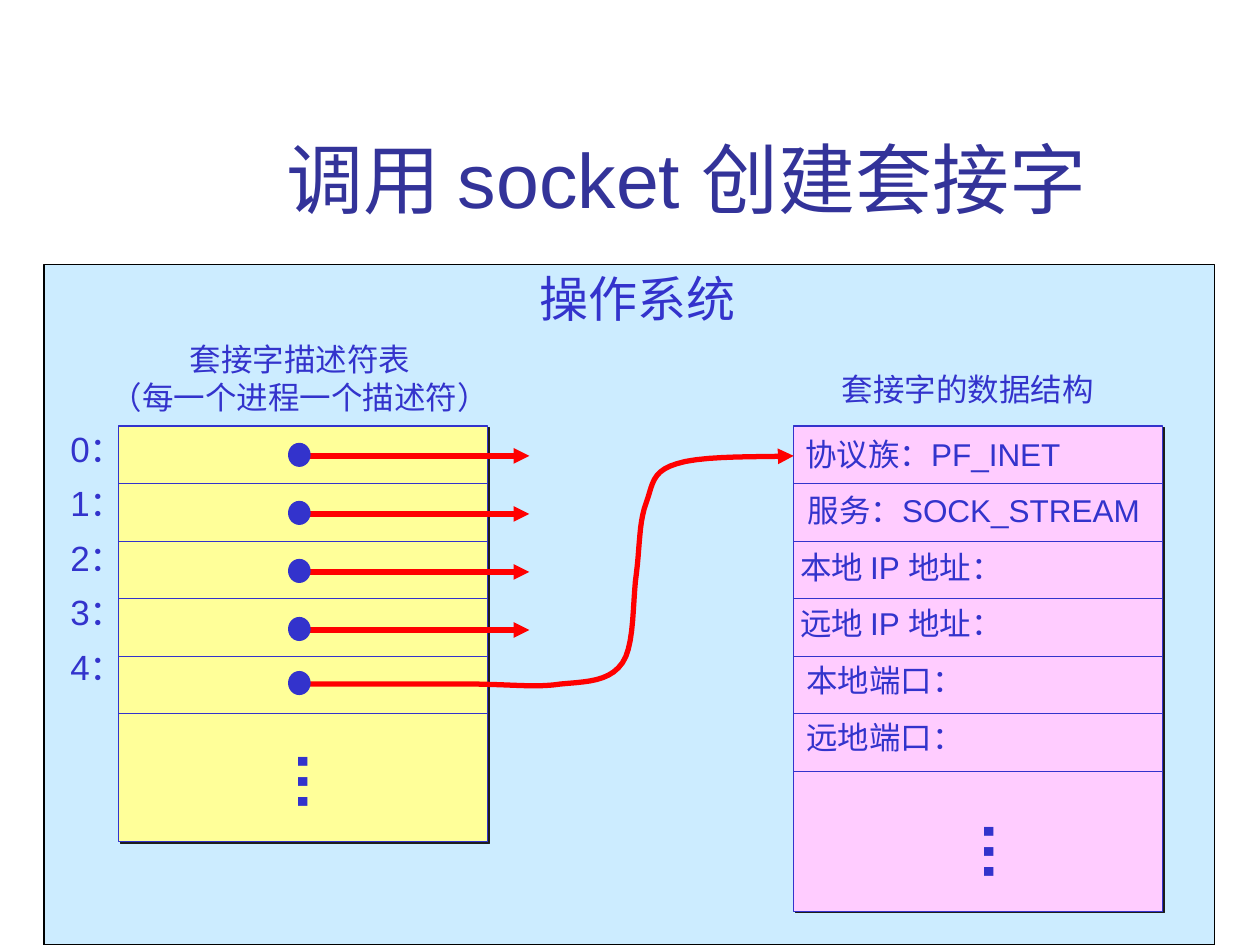
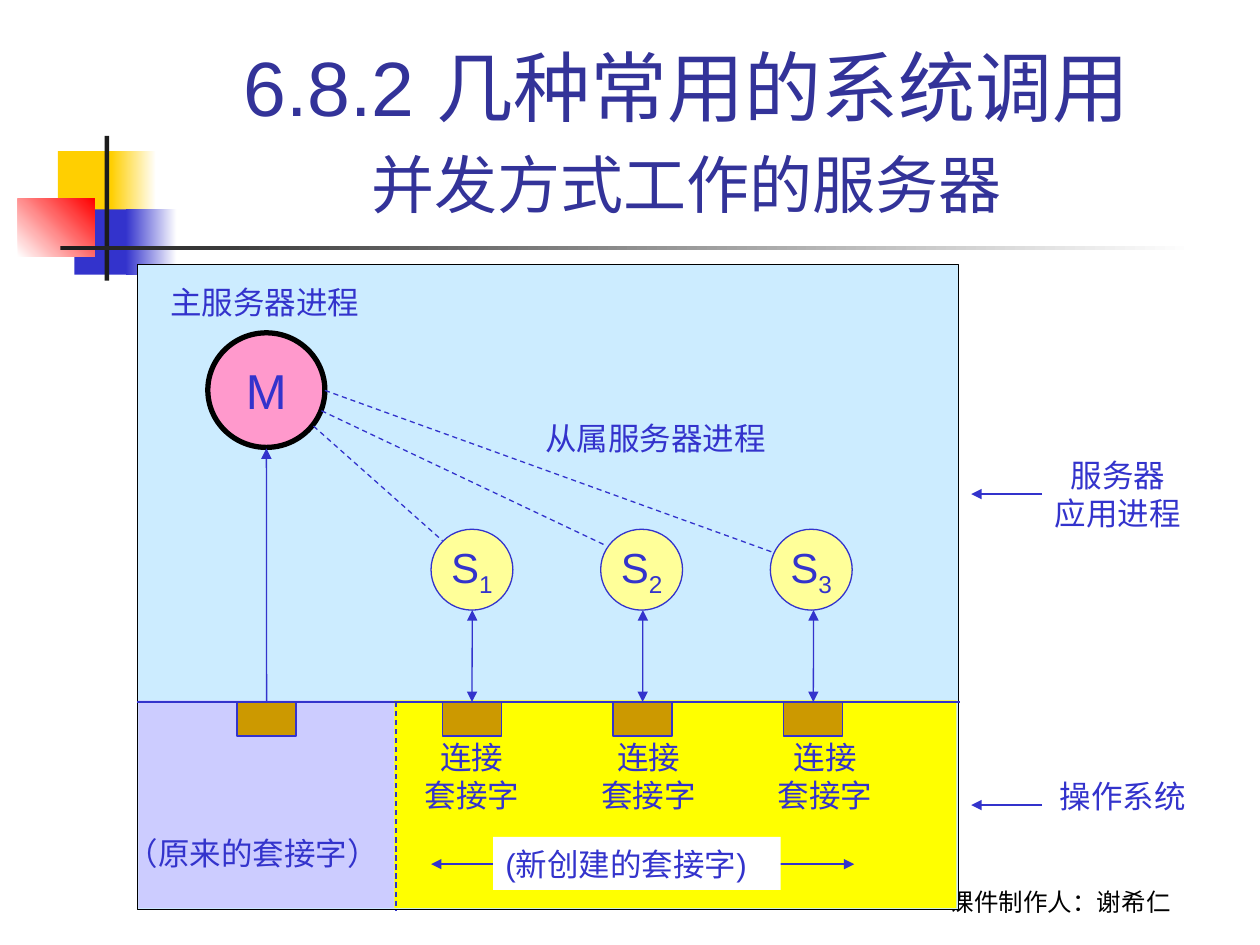
"""Build two slides on sockets: creating one, and a concurrent server."""
from lxml.etree import SubElement
from pptx import Presentation
from pptx.dml.color import RGBColor
from pptx.enum.dml import MSO_LINE
from pptx.enum.shapes import MSO_CONNECTOR, MSO_SHAPE
from pptx.enum.text import MSO_ANCHOR, MSO_AUTO_SIZE, PP_ALIGN
from pptx.oxml.ns import qn
from pptx.util import Cm, Pt

HUES = {name: RGBColor.from_string(code) for name, code in {
    "ink": "3333CC", "title": "333399", "sky": "CCECFF", "cream": "FFFF99",
    "pink": "FFCCFF", "rose": "FF99CC", "lilac": "CCCCFF", "yellow": "FFFF00",
    "brown": "CC9900", "gold": "FFCF01", "red": "FF0000", "dark": "1C1C1C",
    "black": "000000", "white": "FFFFFF"}.items()}
RECT, OVAL = MSO_SHAPE.RECTANGLE, MSO_SHAPE.OVAL
LEFT, MID = PP_ALIGN.LEFT, PP_ALIGN.CENTER
TITLE = dict(at=(3.2, 0.58, 21.64, 4.06), size=44, hue="title",
             anchor=MSO_ANCHOR.BOTTOM, wrap=True)


def draw(page, at, text="", kind=None, fill=None, edge=None, width=0.75, size=18,
         hue="ink", font="Arial", align=MID, space=None, anchor=MSO_ANCHOR.TOP,
         wrap=False):
    """Add a preset shape, or a text box when no kind is given."""
    spot = [Cm(v) for v in at]
    if kind is None:
        shape = page.shapes.add_textbox(*spot)
    else:
        shape = page.shapes.add_shape(kind, *spot)
        shape.shadow.inherit = False
        shape.fill.background()
    if isinstance(fill, tuple):
        shape.fill.gradient()
        shape.fill.gradient_angle = fill[2]
        for stop, name in zip(shape.fill.gradient_stops, fill):
            stop.color.rgb = HUES[name]
    elif fill:
        shape.fill.solid()
        shape.fill.fore_color.rgb = HUES[fill]
    if edge:
        shape.line.color.rgb = HUES[edge]
        shape.line.width = Pt(width)
    else:
        shape.line.fill.background()
    if text:
        frame = shape.text_frame
        frame.text = text
        frame.word_wrap = wrap
        frame.vertical_anchor = anchor
        if kind is None and not wrap:
            frame.auto_size = MSO_AUTO_SIZE.SHAPE_TO_FIT_TEXT
        for para in frame.paragraphs:
            para.alignment = align
            if space:
                para.line_spacing = space
            for run in para.runs:
                run.font.size = Pt(size)
                run.font.name = font
                run.font.color.rgb = HUES[hue]
    return shape


def link(page, pts, hue="ink", width=0.75, ends=(), dash=False):
    """Join points with a line; ends names the arrowheads."""
    pts = [(Cm(x), Cm(y)) for x, y in pts]
    if len(pts) == 2:
        line = page.shapes.add_connector(MSO_CONNECTOR.STRAIGHT, *pts[0], *pts[1])
        SubElement(line._element.spPr, qn("a:effectLst"))
    else:
        trace = page.shapes.build_freeform(*pts[0])
        trace.add_line_segments(pts[1:], close=False)
        line = trace.convert_to_shape()
        line.shadow.inherit = False
        line.fill.background()
    line.line.color.rgb = HUES[hue]
    line.line.width = Pt(width)
    if dash:
        line.line.dash_style = MSO_LINE.DASH
    for end in ends:
        SubElement(line.line._get_or_add_ln(), qn(f"a:{end}"), type="triangle")
    return line


deck = Presentation()
deck.slide_width, deck.slide_height = Cm(25.4), Cm(19.05)
blank = deck.slide_layouts[6]
HEAD, TAIL = "headEnd", "tailEnd"

page = deck.slides.add_slide(blank)
draw(page, (0.89, 5.33, 23.6, 13.72), kind=RECT, fill="sky", edge="black")
top, pitch, wide = 8.59, 1.16, 7.44
for left, high, fill, rows in ((2.39, 8.38, "cream", 5), (16, 9.78, "pink", 6)):
    table = draw(page, (left, top, wide, high), kind=RECT, fill=fill, edge="ink")
    glow = SubElement(table._element.spPr.find(qn("a:effectLst")),
                      qn("a:outerShdw"), blurRad="0", dist="17780",
                      dir="2700000", algn="ctr", rotWithShape="0")
    SubElement(glow, qn("a:srgbClr"), val=str(HUES["dark"]))
    for row in range(1, rows + 1):
        y = top + row * pitch
        link(page, [(left, y), (left + wide, y)])

draw(page, (1.98, 6.73, 8.13, 1.78), "套接字描述符表\n（每一个进程一个描述符）")
draw(page, (1.17, 8.23, 1.78, 5.77), "\n".join(f"{n}：" for n in range(5)),
     size=20, align=LEFT, space=1.3)
draw(page, (10.62, 5.28, 4.45, 1.45), "操作系统", size=28)
draw(page, (16.71, 7.34, 5.59, 1.02), "套接字的数据结构")
fields = [("协议族：PF_INET", 15.98, 5.82), ("服务：SOCK_STREAM", 16.03, 7.37),
          ("本地 IP 地址：", 15.88, 4.9), ("远地 IP 地址：", 15.88, 4.9),
          ("本地端口：", 16, 3.68), ("远地端口：", 16, 3.68)]
for row, (text, left, width) in enumerate(fields):
    draw(page, (left, 8.64 + row * 1.14, width, 1.02), text, align=LEFT)
for left, y in ((5.64, 14.88), (19.46, 16.28)):
    dots = draw(page, (left, y, 1.78, 1.78), "…", size=36)
    dots.rotation = 90
    dots.text_frame.paragraphs[0].runs[0].font.bold = True

for row in range(4):
    y = 9.19 + row * 1.17
    link(page, [(5.99, y), (10.67, y)], "red", 3, [TAIL])
bends = [((10.29, 13.79), (10.77, 13.87), (11.3, 13.79)),
         ((11.84, 13.74), (12.29, 13.74), (12.55, 13.36)),
         ((12.8, 13), (12.75, 12.09), (12.83, 11.56)),
         ((12.9, 11.02), (12.88, 10.52), (13.03, 10.13)),
         ((13.16, 9.78), (13.13, 9.5), (13.64, 9.35)),
         ((14.15, 9.17), (15.52, 9.22), (16, 9.19))]
curve = [(5.99, 13.79), (9.4, 13.79)]
for bend in bends:
    knots = (curve[-1], *bend)
    for step in range(1, 11):
        t = step / 10
        parts = ((1 - t) ** 3, 3 * t * (1 - t) ** 2, 3 * t * t * (1 - t), t ** 3)
        curve.append(tuple(sum(p * k[axis] for p, k in zip(parts, knots))
                           for axis in (0, 1)))
link(page, curve, "red", 3, [TAIL])
for y in [8.94 + row * 1.17 for row in range(4)] + [13.54]:
    draw(page, (5.82, y, 0.43, 0.46), kind=OVAL, fill="ink", edge="ink")
draw(page, text="调用 socket 创建套接字 ", **TITLE)

page = deck.slides.add_slide(blank)
for at, fill in (((1.17, 3.05, 1.22, 1.32), "gold"),
                 ((2.24, 3.05, 0.91, 1.32), ("gold", "white", 0)),
                 ((1.5, 4.22, 1.17, 1.32), "ink"),
                 ((2.54, 4.22, 1.02, 1.32), ("ink", "white", 0)),
                 ((0.36, 4.01, 1.55, 1.17), ("white", "red", 45)),
                 ((2.11, 2.74, 0.09, 2.92), "dark"),
                 ((1.22, 4.95, 22.86, 0.09), ("dark", "white", 0))):
    draw(page, at, kind=RECT, fill=fill)
draw(page, (17.35, 17.32, 8.05, 1.27), "课件制作人：谢希仁", size=14, hue="black",
     font="Cabin", anchor=MSO_ANCHOR.BOTTOM, wrap=True)
title = draw(page, text="6.8.2 几种常用的系统调用 \v并发方式工作的服务器", **TITLE)
para = title.text_frame.paragraphs[0]
para.runs[1].font.size = Pt(36)
space = para.add_run()
space.text = " "
space.font.size = Pt(44)

floor = 14.15
draw(page, (2.77, 5.33, 16.56, 13), kind=RECT, fill="sky", edge="black")
draw(page, (2.79, 14.12, 5.16, 4.19), kind=RECT, fill="lilac")
draw(page, (7.95, 14.12, 11.33, 4.19), kind=RECT, fill="yellow")
link(page, [(2.77, floor), (19.35, floor)])
draw(page, (4.19, 6.71, 2.36, 2.31), "M", OVAL, "rose", "black", 3, 28,
     anchor=MSO_ANCHOR.MIDDLE)
port = draw(page, (4.78, floor, 1.19, 0.69), kind=RECT, fill="brown", edge="ink")
link(page, [(5.37, floor), (5.37, 9.04)], ends=[TAIL]).begin_connect(port, 0)

rays = [((6.32, 8.59), (8.92, 10.9)), ((6.48, 8.28), (12.22, 11)),
        ((6.55, 7.87), (15.57, 11.13))]
for n, ray in enumerate(rays):
    slave = draw(page, (8.69 + n * 3.42, 10.67, 1.65, 1.63), "S", OVAL, "cream",
                 "ink", size=24, anchor=MSO_ANCHOR.MIDDLE)
    sub = slave.text_frame.paragraphs[0].add_run()
    sub.text = str(n + 1)
    sub.font.size, sub.font.name = Pt(24), "Arial"
    sub.font.color.rgb = HUES["ink"]
    sub.font._element.set("baseline", "-25000")
    x = 8.92 + n * 3.44
    port = draw(page, (x, floor, 1.19, 0.69), kind=RECT, fill="brown", edge="ink")
    x += 0.6
    link(page, [(x, 12.3), (x, floor)], ends=[HEAD, TAIL]).end_connect(port, 0)
    draw(page, (8.31 + n * 3.56, 14.76, 2.41, 1.78), "连接\n套接字")
    link(page, ray, dash=True)

draw(page, (21.11, 15.54, 3.05, 1.02), "操作系统")
draw(page, (21.01, 9.07, 3.05, 1.78), "服务器\n应用进程")
for y in (16.23, 9.96):
    link(page, [(21.01, y), (19.58, y)], ends=[TAIL])
link(page, [(8.69, 17.42), (17.22, 17.42)], ends=[HEAD, TAIL])
for text, left, y, width, fill in (("从属服务器进程", 10.74, 8.28, 4.95, None),
                                   ("主服务器进程", 3.18, 5.54, 4.32, None),
                                   ("（原来的套接字）", 2.31, 16.66, 5.59, None),
                                   ("(新创建的套接字)", 9.94, 16.87, 5.8, "white")):
    draw(page, (left, y, width, 1.07), text, fill=fill, align=LEFT, space=1.05)
link(page, [(7.98, floor), (7.98, 18.34)], dash=True)

deck.save("out.pptx")
